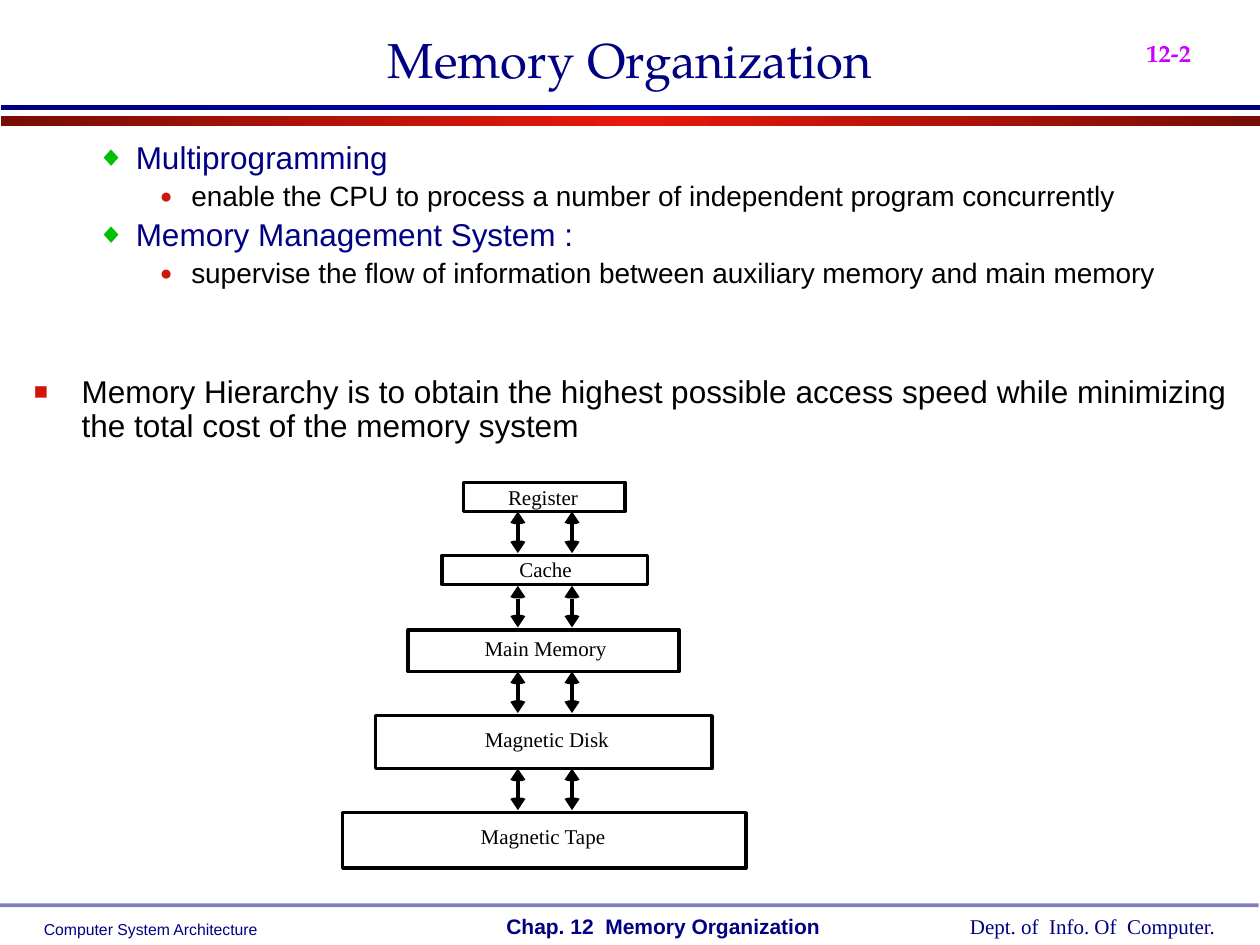
from copy import deepcopy

from lxml.etree import SubElement
from pptx import Presentation
from pptx.dml.color import RGBColor
from pptx.enum.shapes import MSO_CONNECTOR, MSO_SHAPE
from pptx.enum.text import MSO_ANCHOR, MSO_AUTO_SIZE, PP_ALIGN
from pptx.oxml.ns import qn
from pptx.util import Inches, Pt

NAVY = RGBColor(0x00, 0x00, 0x82)
DEEP_BLUE = RGBColor(0x00, 0x00, 0x7F)
BRIGHT_BLUE = RGBColor(0x00, 0x00, 0xB6)
DARK_RED = RGBColor(0x77, 0x0D, 0x05)
BRIGHT_RED = RGBColor(0xE7, 0x19, 0x09)
BULLET_RED = RGBColor(0xD0, 0x16, 0x08)
GREEN = RGBColor(0x00, 0xC0, 0x00)
MAGENTA = RGBColor(0xCC, 0x00, 0xFF)
BLACK = RGBColor(0x00, 0x00, 0x00)

SANS = "Arial"
SERIF = "Times New Roman"
DISPLAY = "TeX Gyre Pagella"


class SlideBuilder:
    line_width = Pt(2)
    line_spacing = 0.9

    def __init__(self, slide):
        self.slide = slide

    def rectangle(self, left, top, width, height):
        shape = self.slide.shapes.add_shape(
            MSO_SHAPE.RECTANGLE, Inches(left), Inches(top), Inches(width), Inches(height))
        shape.shadow.inherit = False
        return shape

    def gradient_bar(self, top, height, edge, middle):
        shape = self.rectangle(0.01, top, 9.99, height)
        shape.line.fill.background()
        shape.fill.gradient()
        shape.fill.gradient_angle = 0
        stop_list = shape._element.spPr.find(".//" + qn("a:gsLst"))
        stop_list.insert(1, deepcopy(stop_list[0]))
        colors = (edge, middle, edge)
        for stop, position, color in zip(shape.fill.gradient_stops, (0, 0.5, 1), colors):
            stop.position = position
            stop.color.rgb = color

    def translucent_bar(self, top, height, color, opacity):
        shape = self.rectangle(0, top, 9.99, height)
        shape.line.fill.background()
        shape.fill.solid()
        shape.fill.fore_color.rgb = color
        color_element = shape._element.spPr.find(".//" + qn("a:srgbClr"))
        SubElement(color_element, qn("a:alpha")).set("val", str(opacity * 1000))

    def outline_box(self, left, top, width, height):
        shape = self.rectangle(left, top, width, height)
        shape.fill.background()
        shape.line.color.rgb = BLACK
        shape.line.width = self.line_width

    def text_frame(self, left, top, width, height, wrap=True):
        box = self.slide.shapes.add_textbox(
            Inches(left), Inches(top), Inches(width), Inches(height))
        frame = box.text_frame
        frame.word_wrap = wrap
        frame.auto_size = MSO_AUTO_SIZE.NONE if wrap else MSO_AUTO_SIZE.SHAPE_TO_FIT_TEXT
        return frame

    def add_run(self, paragraph, text, size, font, color, bold=False):
        run = paragraph.add_run()
        run.text = text
        run.font.size = Pt(size)
        run.font.name = font
        run.font.bold = bold
        run.font.color.rgb = color
        return run

    def label(self, left, top, width, height, text, size, font, color,
              bold=False, align=PP_ALIGN.LEFT, spacing=1.0):
        frame = self.text_frame(left, top, width, height, wrap=False)
        paragraph = frame.paragraphs[0]
        paragraph.alignment = align
        paragraph.line_spacing = spacing
        self.add_run(paragraph, text, size, font, color, bold)

    def title(self, text):
        frame = self.text_frame(0.75, 0, 8.5, 0.75)
        frame.vertical_anchor = MSO_ANCHOR.BOTTOM
        paragraph = frame.paragraphs[0]
        paragraph.alignment = PP_ALIGN.CENTER
        self.add_run(paragraph, text, 28, DISPLAY, NAVY)

    def page_number(self, text):
        frame = self.text_frame(9, 0.03, 1, 0.37)
        run = self.add_run(frame.paragraphs[0], text, 24, DISPLAY, MAGENTA, True)
        run._r.get_or_add_rPr().set("baseline", "-25000")

    def bullet(self, paragraph, text, size, color, symbol, symbol_color, scale,
               margin, indent, level=0):
        paragraph.level = level
        paragraph.line_spacing = self.line_spacing
        properties = paragraph._p.get_or_add_pPr()
        properties.set("marL", str(Inches(margin)))
        properties.set("indent", str(-Inches(indent)))
        bullet_color = SubElement(properties, qn("a:buClr"))
        SubElement(bullet_color, qn("a:srgbClr")).set("val", str(symbol_color))
        SubElement(properties, qn("a:buSzPct")).set("val", str(scale * 1000))
        SubElement(properties, qn("a:buFont")).set("typeface", SANS)
        SubElement(properties, qn("a:buChar")).set("char", symbol)
        self.add_run(paragraph, text, size, SANS, color)

    def topics(self, topics):
        frame = self.text_frame(0.17, 1.08, 9.5, 1.4)
        paragraph = frame.paragraphs[0]
        for index, (heading, detail) in enumerate(topics):
            if index:
                paragraph = frame.add_paragraph()
                paragraph.space_before = Pt(3.6)
            self.bullet(paragraph, heading, 18, NAVY, "◆", GREEN, 90, 0.81, 0.31, 1)
            paragraph = frame.add_paragraph()
            paragraph.space_before = Pt(3.6)
            self.bullet(paragraph, detail, 16, BLACK, "●", BULLET_RED, 75, 1.25, 0.25, 2)

    def statement(self, text):
        frame = self.text_frame(0.17, 2.94, 9.83, 0.62)
        self.bullet(frame.paragraphs[0], text, 18, BLACK, "■", BULLET_RED, 75, 0.38, 0.38)

    def arrowhead(self, x, tip, direction):
        outline = [(0.06, 0.09), (0.03, 0.1), (-0.03, 0.1), (-0.06, 0.09)]
        builder = self.slide.shapes.build_freeform(Inches(x), Inches(tip))
        builder.add_line_segments(
            [(Inches(x + across), Inches(tip + direction * along)) for across, along in outline])
        shape = builder.convert_to_shape()
        shape.shadow.inherit = False
        shape.fill.solid()
        shape.fill.fore_color.rgb = BLACK
        shape.line.fill.background()

    def double_arrow(self, x, top, bottom):
        self.arrowhead(x, bottom, -1)
        self.arrowhead(x, top, 1)
        connector = self.slide.shapes.add_connector(
            MSO_CONNECTOR.STRAIGHT,
            Inches(x), Inches(top + 0.1), Inches(x), Inches(bottom - 0.1))
        connector.line.color.rgb = BLACK
        connector.line.width = self.line_width
        SubElement(connector._element.spPr, qn("a:effectLst"))


def main():
    presentation = Presentation()
    presentation.slide_width = Inches(10)
    presentation.slide_height = Inches(7.5)
    builder = SlideBuilder(presentation.slides.add_slide(presentation.slide_layouts[6]))

    builder.gradient_bar(0.92, 0.08, DARK_RED, BRIGHT_RED)
    builder.gradient_bar(0.83, 0.04, DEEP_BLUE, BRIGHT_BLUE)
    builder.label(0.25, 7.25, 1.9, 0.25, "Computer System Architecture", 9, SANS, NAVY)
    builder.label(7.6, 7.2, 2.16, 0.3, "Dept. of  Info. Of  Computer.", 12, SERIF, NAVY)
    builder.label(3.92, 7.2, 2.69, 0.3, "Chap. 12  Memory Organization", 12, SANS, NAVY, True)
    builder.translucent_bar(7.17, 0.03, NAVY, 50)
    builder.page_number("12-2")
    builder.title("Memory Organization")

    builder.topics([
        ("Multiprogramming",
         "enable the CPU to process a number of independent program concurrently"),
        ("Memory Management System :",
         "supervise the flow of information between auxiliary memory and main memory"),
    ])
    builder.statement("Memory Hierarchy is to obtain the highest possible access speed "
                      "while minimizing the total cost of the memory system")

    memory_levels = [
        ("Register", (3.68, 3.83, 1.28, 0.23), (3.88, 3.82, 0.86)),
        ("Cache", (3.51, 4.41, 1.63, 0.23), (3.98, 4.39, 0.7)),
        ("Main Memory", (3.24, 5, 2.15, 0.33), (3.7, 5.02, 1.26)),
        ("Magnetic Disk", (2.98, 5.68, 2.67, 0.42), (3.68, 5.74, 1.32)),
        ("Magnetic Tape", (2.72, 6.45, 3.2, 0.44), (3.63, 6.51, 1.36)),
    ]
    for index, (name, box, label_place) in enumerate(memory_levels):
        builder.outline_box(*box)
        builder.label(*label_place, 0.28, name, 12, SERIF, BLACK,
                      align=PP_ALIGN.CENTER, spacing=builder.line_spacing)
        if index:
            arrow_bottom = box[1] - 0.02
            for x in (4.11, 4.54):
                builder.double_arrow(x, arrow_bottom - 0.33, arrow_bottom)

    presentation.save("out.pptx")


if __name__ == "__main__":
    main()
